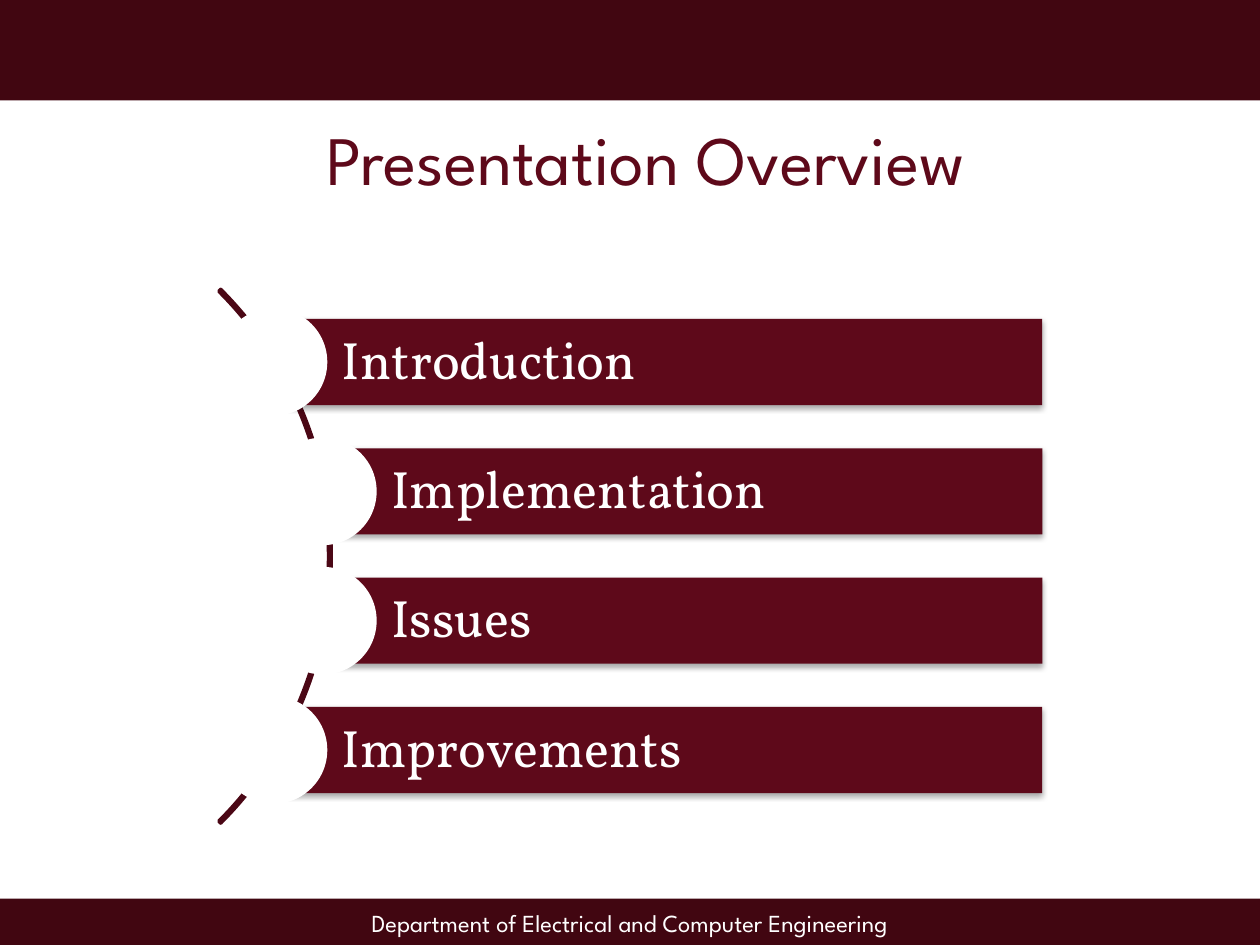
from lxml import etree
from pptx import Presentation
from pptx.dml.color import RGBColor
from pptx.enum.shapes import MSO_SHAPE
from pptx.enum.text import MSO_ANCHOR, PP_ALIGN
from pptx.oxml import parse_xml
from pptx.oxml.ns import nsdecls
from pptx.util import Pt

RECTANGLE, OVAL, BLOCK_ARC = MSO_SHAPE.RECTANGLE, MSO_SHAPE.OVAL, MSO_SHAPE.BLOCK_ARC
TOP, MIDDLE = MSO_ANCHOR.TOP, MSO_ANCHOR.MIDDLE
LEFT, CENTER = PP_ALIGN.LEFT, PP_ALIGN.CENTER

DARK_MAROON = RGBColor(0x41, 0x06, 0x11)
ARC_MAROON = RGBColor(0x4B, 0x07, 0x15)
MAROON = RGBColor(0x5E, 0x09, 0x1A)
WHITE = RGBColor(0xFF, 0xFF, 0xFF)

SHADOW = f"""<a:effectLst {nsdecls('a')}>
<a:outerShdw blurRad="40000" dist="23000" dir="5400000" rotWithShape="0">
<a:srgbClr val="000000"><a:alpha val="35000"/></a:srgbClr>
</a:outerShdw></a:effectLst>"""

deck = Presentation()
deck.slide_width, deck.slide_height = Pt(720), Pt(540)
page = deck.slides.add_slide(deck.slide_layouts[6])


def add_filled(kind, left, top, width, height, color):
    shape = page.shapes.add_shape(kind, Pt(left), Pt(top), Pt(width), Pt(height))
    shape.shadow.inherit = False
    shape.fill.solid()
    shape.fill.fore_color.rgb = color
    shape.line.fill.background()
    return shape


def write(box, text, font, size, color, align, anchor):
    frame = box.text_frame
    frame.word_wrap = True
    frame.vertical_anchor = anchor
    para = frame.paragraphs[0]
    para.alignment = align
    span = para.add_run()
    span.text = text
    span.font.name = font
    span.font.size = Pt(size)
    span.font.color.rgb = color
    return frame


add_filled(RECTANGLE, 0, 0, 720, 57.4, DARK_MAROON)
add_filled(RECTANGLE, 0, 513.5, 720, 26.5, DARK_MAROON)

footer = page.shapes.add_textbox(Pt(0), Pt(515.5), Pt(720), Pt(24.5))
write(footer, "Department of Electrical and Computer Engineering",
      "League Spartan", 14, WHITE, CENTER, TOP)

title = page.shapes.add_textbox(Pt(54), Pt(62.6), Pt(630), Pt(49))
write(title, "Presentation Overview", "League Spartan", 39.6, MAROON, CENTER, TOP)

arc = page.shapes.add_shape(BLOCK_ARC, Pt(-242), Pt(102.2), Pt(431.3), Pt(431.3))
arc.shadow.inherit = False
arc.adjustments[0] = 189
arc.adjustments[1] = 27
arc.adjustments[2] = 0.0036
arc.fill.background()
arc.line.color.rgb = ARC_MAROON
arc.line.width = Pt(2)

FIRST_TOP, PITCH, BAR_HEIGHT, BAR_RIGHT = 182.3, 73.9, 49.2, 595.6
DOT = 61.5
OUTER_LEFT, INNER_LEFT = 156.3, 184.5
topics = [
    ("Introduction", OUTER_LEFT),
    ("Implementation", INNER_LEFT),
    ("Issues", INNER_LEFT),
    ("Improvements", OUTER_LEFT),
]

for index, (topic, left) in enumerate(topics):
    top = FIRST_TOP + index * PITCH
    bar = add_filled(RECTANGLE, left, top, BAR_RIGHT - left, BAR_HEIGHT, MAROON)
    properties = bar.fill._xPr
    for effects in properties.findall("{*}effectLst"):
        properties.replace(effects, parse_xml(etree.tostring(etree.fromstring(SHADOW))))
    frame = write(bar, topic, "Vollkorn", 30, WHITE, LEFT, MIDDLE)
    frame.margin_left = Pt(39)
    frame.margin_top = frame.margin_right = frame.margin_bottom = Pt(6)
    frame.paragraphs[0].line_spacing = 0.9
    add_filled(OVAL, left - DOT / 2, top + (BAR_HEIGHT - DOT) / 2, DOT, DOT, WHITE)

deck.save("out.pptx")
